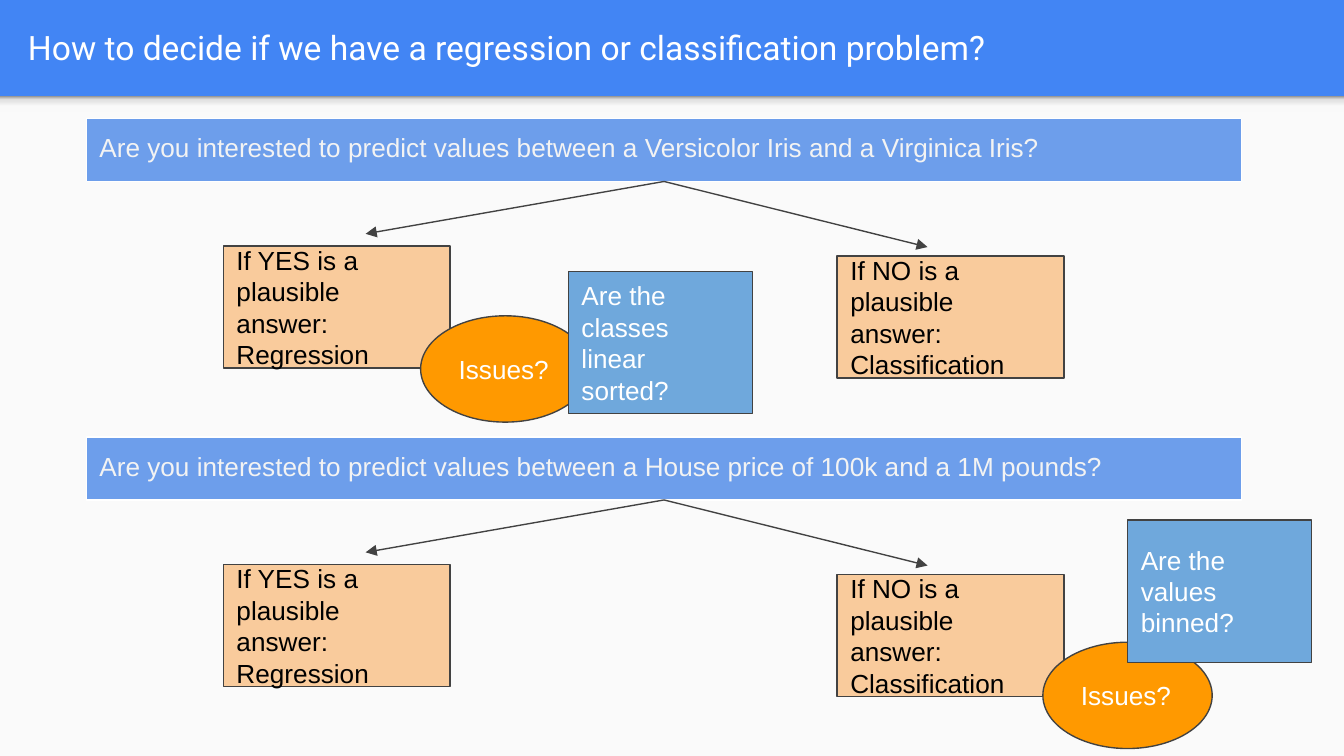
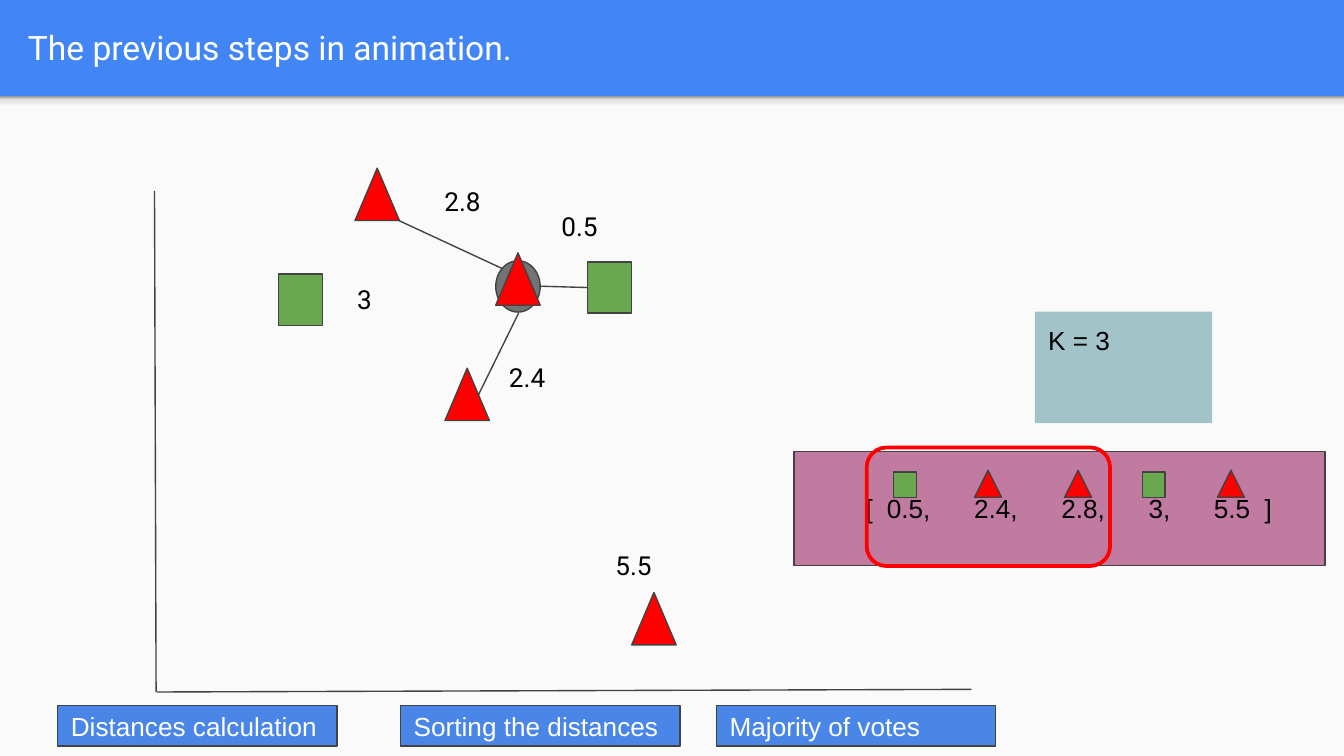
"""Build two slides on regression, classification and nearest neighbours."""
from lxml.etree import SubElement
from pptx import Presentation
from pptx.dml.color import RGBColor
from pptx.enum.shapes import MSO_CONNECTOR as Link, MSO_SHAPE as Shape
from pptx.enum.text import MSO_ANCHOR as Anchor, PP_ALIGN as Align
from pptx.oxml.ns import qn
from pptx.util import Cm, Pt

WHITE = RGBColor(0xFF, 0xFF, 0xFF)
BLACK = RGBColor(0x00, 0x00, 0x00)
PALE = RGBColor(0xF3, 0xF3, 0xF3)
PAPER = RGBColor(0xFA, 0xFA, 0xFA)
INK = RGBColor(0x42, 0x42, 0x42)
HEADER_BLUE = RGBColor(0x42, 0x85, 0xF4)
QUESTION_BLUE = RGBColor(0x6D, 0x9E, 0xEB)
NOTE_BLUE = RGBColor(0x6F, 0xA8, 0xDC)
STEP_BLUE = RGBColor(0x4A, 0x86, 0xE8)
PEACH = RGBColor(0xF9, 0xCB, 0x9C)
ORANGE = RGBColor(0xFF, 0x99, 0x00)
RED = RGBColor(0xFF, 0x00, 0x00)
GREEN = RGBColor(0x6A, 0xA8, 0x4F)
GREY = RGBColor(0x73, 0x73, 0x73)
TEAL = RGBColor(0xA2, 0xC4, 0xC9)
MAUVE = RGBColor(0xC2, 0x7B, 0xA0)
SHADE = [(0, "F9F9F9"), (36, "F9F9F9"), (80, "DEDEDE"), (100, "999999")]

WIDTH, HEIGHT, HEADER = 25.4, 14.29, 1.82
INSET = 0.25

DECISION_TITLE = "How to decide if we have a regression or classification problem?"
QUESTIONS = [
    "Are you interested to predict values between a Versicolor Iris and a Virginica Iris?",
    "Are you interested to predict values between a House price of 100k and a 1M pounds?",
]
QUESTION_TOP, QUESTION_STEP = 2.24, 6.02
ANSWERS = [
    (["If YES is a plausible answer:", "Regression"], (4.22, 2.41), (6.91, 2.18)),
    (["If NO is a plausible answer:", "Classification"], (15.82, 2.6), (17.53, 2.43)),
]
ISSUES = [(7.95, 5.97), (19.71, 12.14)]
NOTES = [
    ("Are the classes linear sorted?", (10.74, 5.13)),
    ("Are the values binned?", (21.31, 9.83)),
]

ANIMATION_TITLE = "The previous steps in animation."
TRIANGLE = (Shape.ISOSCELES_TRIANGLE, RED, (0.84, 0.99))
SQUARE = (Shape.RECTANGLE, GREEN, (0.84, 0.97))
RING = (Shape.DONUT, GREY, (0.84, 0.97))
SMALL_TRIANGLE = (Shape.ISOSCELES_TRIANGLE, RED, (0.51, 0.51))
SMALL_SQUARE = (Shape.RECTANGLE, GREEN, (0.43, 0.48))
NEAREST_SQUARE = (11.1, 4.95)
POINTS = [
    (TRIANGLE, (8.41, 6.96)),
    (SQUARE, (5.26, 5.18)),
    (TRIANGLE, (11.94, 11.2)),
    (RING, (9.37, 4.93)),
    (TRIANGLE, (6.71, 3.18)),
]
NEW_POINT = (9.37, 4.78)
LINES = [
    ((2.92, 3.61), (2.95, 13.08)),
    ((2.97, 13.08), (18.36, 13.03)),
    ((9.8, 5.92), (9.04, 7.47)),
    ((9.5, 5.08), (7.54, 4.17)),
]
DISTANCES = [
    ("2.8", (8.15, 3.25)),
    ("2.4", (9.37, 6.58)),
    ("3", (6.5, 5.11)),
    ("0.5", (10.36, 3.73)),
    ("5.5", (11.38, 10.13)),
]
RANKING = [
    ("[", 1.1), ("0.5,", 1.5), ("2.4,", 3.15), ("2.8,", 4.8),
    ("3,", 6.45), ("5.5", 7.68), ("]", 8.64),
]
RANKED_MARKS = [
    (SMALL_SQUARE, (21.59, 8.92)),
    (SMALL_SQUARE, (16.89, 8.92)),
    (SMALL_TRIANGLE, (23.01, 8.89)),
    (SMALL_TRIANGLE, (18.42, 8.89)),
    (SMALL_TRIANGLE, (20.12, 8.89)),
]
STEPS = [
    ("Distances calculation", 1.09),
    ("Sorting the distances", 7.57),
    ("Majority of votes", 13.54),
]


def write(box, lines, color, font="Arial", points=14, anchor=Anchor.MIDDLE):
    frame = box.text_frame
    frame.word_wrap = True
    frame.vertical_anchor = anchor
    frame.margin_left = frame.margin_right = Cm(INSET)
    frame.margin_top = frame.margin_bottom = Cm(INSET)
    for index, line in enumerate(lines):
        para = frame.add_paragraph() if index else frame.paragraphs[0]
        para.alignment = Align.LEFT
        span = para.add_run()
        span.text = line
        span.font.name = font
        span.font.size = Pt(points)
        span.font.color.rgb = color


def add_box(shapes, kind, place, size, fill=None, line=INK, weight=0.75):
    box = shapes.add_shape(kind, *map(Cm, place + size))
    box.shadow.inherit = False
    if fill is None:
        box.fill.background()
    else:
        box.fill.solid()
        box.fill.fore_color.rgb = fill
    if line is None:
        box.line.fill.background()
    else:
        box.line.color.rgb = line
        box.line.width = Pt(weight)
    return box


def add_mark(shapes, mark, place):
    kind, fill, size = mark
    return add_box(shapes, kind, place, size, fill)


def add_line(page, start, end, arrow=False):
    line = page.shapes.add_connector(Link.STRAIGHT, *map(Cm, start + end))
    line.line.color.rgb = INK
    line.line.width = Pt(0.75)
    if arrow:
        SubElement(line.line._get_or_add_ln(), qn("a:tailEnd"), type="triangle")
    SubElement(line._element.spPr, qn("a:effectLst"))
    return line


def add_label(page, text, place, size, color, **style):
    label = page.shapes.add_textbox(*map(Cm, place + size))
    write(label, [text], color, font="Roboto", **style)


def shade(box):
    box.fill.gradient()
    box.fill.gradient_angle = 90
    stops = box._element.spPr.find(".//" + qn("a:gsLst"))
    for stop in list(stops):
        stops.remove(stop)
    for percent, color in SHADE:
        stop = SubElement(stops, qn("a:gs"), pos=str(percent * 1000))
        SubElement(stop, qn("a:srgbClr"), val=color)


def add_page(deck, title):
    page = deck.slides.add_slide(deck.slide_layouts[6])
    page.background.fill.solid()
    page.background.fill.fore_color.rgb = HEADER_BLUE
    body = (WIDTH, HEIGHT - HEADER)
    add_box(page.shapes, Shape.RECTANGLE, (0, HEADER), body, PAPER, None)
    shade(add_box(page.shapes, Shape.RECTANGLE, (0, HEADER), (WIDTH, 0.3), PAPER, None))
    add_label(page, title, (0.28, 0.05), (24.51, 1.68), WHITE, points=18)
    return page


def add_decision_page(deck):
    page = add_page(deck, DECISION_TITLE)
    shapes = page.shapes
    for row, text in enumerate(QUESTIONS):
        top = QUESTION_TOP + row * QUESTION_STEP
        question = add_box(shapes, Shape.RECTANGLE, (1.63, top), (21.84, 1.19),
                           QUESTION_BLUE, WHITE)
        write(question, [text], PALE, anchor=Anchor.TOP)
        for lines, (left, drop), (tip, tip_drop) in ANSWERS:
            answer = add_box(shapes, Shape.RECTANGLE, (left, top + drop), (4.29, 2.31), PEACH)
            write(answer, lines, BLACK)
            arrow = add_line(page, (12.55, top + 1.19), (tip, top + tip_drop), arrow=True)
            arrow.begin_connect(question, 2)
    for place in ISSUES:
        write(add_box(shapes, Shape.OVAL, place, (3.2, 2.01), ORANGE), ["Issues?"], WHITE)
    for text, place in NOTES:
        write(add_box(shapes, Shape.RECTANGLE, place, (3.48, 2.69), NOTE_BLUE), [text], WHITE)


def add_ranking(page):
    shapes = page.shapes
    panel = add_box(shapes, Shape.RECTANGLE, (15.01, 8.53), (10.03, 2.16), MAUVE)
    write(panel, ["".join("\t" + text for text, _ in RANKING)], BLACK)
    tabs = SubElement(panel.text_frame.paragraphs[0]._p.get_or_add_pPr(), qn("a:tabLst"))
    for _, stop in RANKING:
        SubElement(tabs, qn("a:tab"), pos=str(int(Cm(stop))), algn="l")


def add_animation_page(deck):
    page = add_page(deck, ANIMATION_TITLE)
    shapes = page.shapes
    for mark, place in POINTS:
        add_mark(shapes, mark, place)
    nearest = add_mark(shapes, SQUARE, NEAREST_SQUARE)
    for start, end in LINES:
        add_line(page, start, end)
    add_line(page, (10.21, 5.41), (11.1, 5.44)).end_connect(nearest, 1)
    add_mark(shapes, TRIANGLE, NEW_POINT)
    neighbours = add_box(shapes, Shape.RECTANGLE, (19.56, 5.89), (3.35, 2.11), TEAL, None)
    write(neighbours, ["K = 3"], BLACK, anchor=Anchor.TOP)
    add_ranking(page)
    for text, place in DISTANCES:
        add_label(page, text, place, (1.65, 1.12), BLACK, anchor=Anchor.TOP)
    for text, left in STEPS:
        step = add_box(shapes, Shape.RECTANGLE, (left, 13.34), (5.28, 0.76), STEP_BLUE)
        write(step, [text], WHITE)
    add_box(shapes, Shape.ROUNDED_RECTANGLE, (16.38, 8.46), (4.6, 2.24), line=RED, weight=2)
    group = shapes.add_group_shape()
    for mark, place in RANKED_MARKS:
        add_mark(group.shapes, mark, place)


def main():
    deck = Presentation()
    deck.slide_width, deck.slide_height = Cm(WIDTH), Cm(HEIGHT)
    add_decision_page(deck)
    add_animation_page(deck)
    deck.save("out.pptx")


if __name__ == "__main__":
    main()
